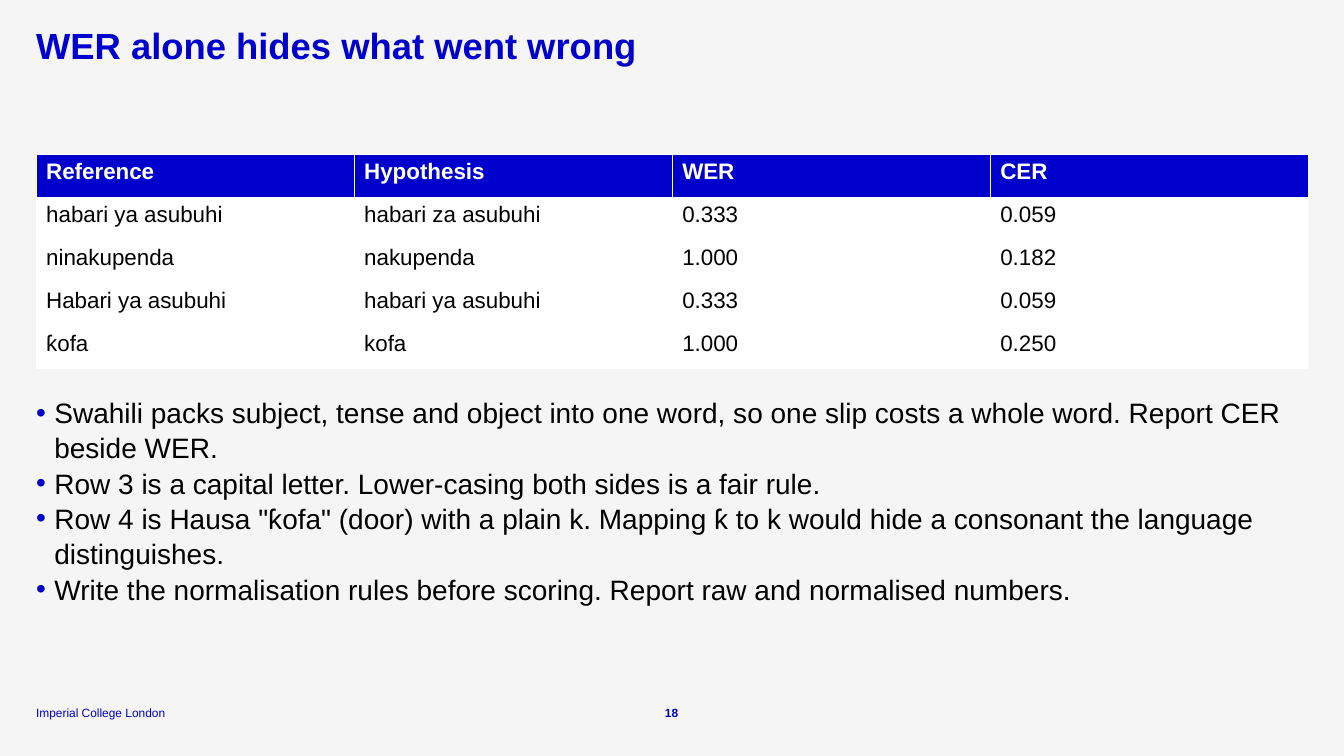
"""Build the slide on what word error rate hides, with a score table and four remarks."""
from dataclasses import dataclass

from lxml.etree import SubElement
from pptx import Presentation
from pptx.dml.color import RGBColor as Rgb
from pptx.enum.text import MSO_ANCHOR as Anchor, PP_ALIGN as Align
from pptx.oxml.ns import qn
from pptx.slide import Slide
from pptx.util import Cm, Pt

COLOURS = {"blue": "0000CD", "black": "000000", "white": "FFFFFF", "ground": "F5F5F5"}
FONT = "Arial"
MARGIN, CONTENT_WIDTH = 0.91, 32.06
FOOTER_TOP, FOOTER_HEIGHT = 17.75, 0.38
ROW_HEIGHT = 1.08
BULLET_INDENT = Cm(0.46)


@dataclass(frozen=True)
class TextBlock:
    lines: tuple[str, ...]
    left: float
    top: float
    width: float
    height: float
    size: float
    colour: str = "blue"
    bold: bool = False
    bulleted: bool = False
    spacing: float = 1.0
    align: Align = Align.LEFT
    anchor: Anchor = Anchor.TOP


@dataclass(frozen=True)
class Score:
    reference: str
    hypothesis: str
    wer: str
    cer: str

    def cells(self) -> tuple[str, ...]:
        return self.reference, self.hypothesis, self.wer, self.cer


BLOCKS = (
    TextBlock(("WER alone hides what went wrong",), MARGIN, 0.71, CONTENT_WIDTH, 1.04, 26,
              bold=True, spacing=0.9),
    TextBlock((
        "Swahili packs subject, tense and object into one word, so one slip costs a whole word. "
        "Report CER beside WER.",
        "Row 3 is a capital letter. Lower-casing both sides is a fair rule.",
        'Row 4 is Hausa "ƙofa" (door) with a plain k. Mapping ƙ to k would hide a consonant '
        "the language distinguishes.",
        "Write the normalisation rules before scoring. Report raw and normalised numbers.",
    ), MARGIN, 9.93, CONTENT_WIDTH, 6.86, 20, colour="black", bulleted=True, spacing=1.05),
    TextBlock(("Imperial College London",), MARGIN, FOOTER_TOP, 3.94, FOOTER_HEIGHT, 8.5,
              anchor=Anchor.BOTTOM),
    TextBlock(("18",), 16.48, FOOTER_TOP, 0.89, FOOTER_HEIGHT, 8.5, bold=True,
              align=Align.CENTER, anchor=Anchor.BOTTOM),
)

SCORES = (
    Score("Reference", "Hypothesis", "WER", "CER"),
    Score("habari ya asubuhi", "habari za asubuhi", "0.333", "0.059"),
    Score("ninakupenda", "nakupenda", "1.000", "0.182"),
    Score("Habari ya asubuhi", "habari ya asubuhi", "0.333", "0.059"),
    Score("ƙofa", "kofa", "1.000", "0.250"),
)


def colour_of(name: str) -> Rgb:
    return Rgb.from_string(COLOURS[name])


def style_font(paragraph, size: float, colour: str, bold: bool) -> None:
    font = paragraph.font
    font.name, font.size, font.bold = FONT, Pt(size), bold
    font.color.rgb = colour_of(colour)


def add_bullet(paragraph) -> None:
    properties = paragraph._p.get_or_add_pPr()
    properties.set("marL", str(BULLET_INDENT))
    properties.set("indent", str(-BULLET_INDENT))
    bullet_colour = SubElement(properties, qn("a:buClr"))
    SubElement(bullet_colour, qn("a:srgbClr"), val=COLOURS["blue"])
    SubElement(properties, qn("a:buFont"), typeface=FONT)
    SubElement(properties, qn("a:buChar"), char="•")


def draw_block(slide: Slide, block: TextBlock) -> None:
    frame = slide.shapes.add_textbox(
        Cm(block.left), Cm(block.top), Cm(block.width), Cm(block.height)).text_frame
    frame.margin_left = frame.margin_top = frame.margin_right = frame.margin_bottom = 0
    frame.word_wrap, frame.vertical_anchor = True, block.anchor
    frame.text = "\n".join(block.lines)
    for paragraph in frame.paragraphs:
        if block.bulleted:
            add_bullet(paragraph)
        paragraph.alignment, paragraph.line_spacing = block.align, block.spacing
        style_font(paragraph, block.size, block.colour, block.bold)


def draw_scores(slide: Slide, scores: tuple[Score, ...]) -> None:
    table = slide.shapes.add_table(
        len(scores), len(scores[0].cells()), Cm(MARGIN), Cm(3.89),
        Cm(CONTENT_WIDTH), Cm(ROW_HEIGHT * len(scores))).table
    for row, score in enumerate(scores):
        is_header = row == 0
        for column, value in enumerate(score.cells()):
            cell = table.cell(row, column)
            cell.text = value
            cell.fill.solid()
            cell.fill.fore_color.rgb = colour_of("blue" if is_header else "white")
            style_font(cell.text_frame.paragraphs[0], 16,
                       "white" if is_header else "black", is_header)


def main() -> None:
    deck = Presentation()
    deck.slide_width, deck.slide_height = Cm(33.87), Cm(19.05)
    slide = deck.slides.add_slide(deck.slide_layouts[6])
    slide.background.fill.solid()
    slide.background.fill.fore_color.rgb = colour_of("ground")
    draw_scores(slide, SCORES)
    for block in BLOCKS:
        draw_block(slide, block)
    deck.save("out.pptx")


if __name__ == "__main__":
    main()
